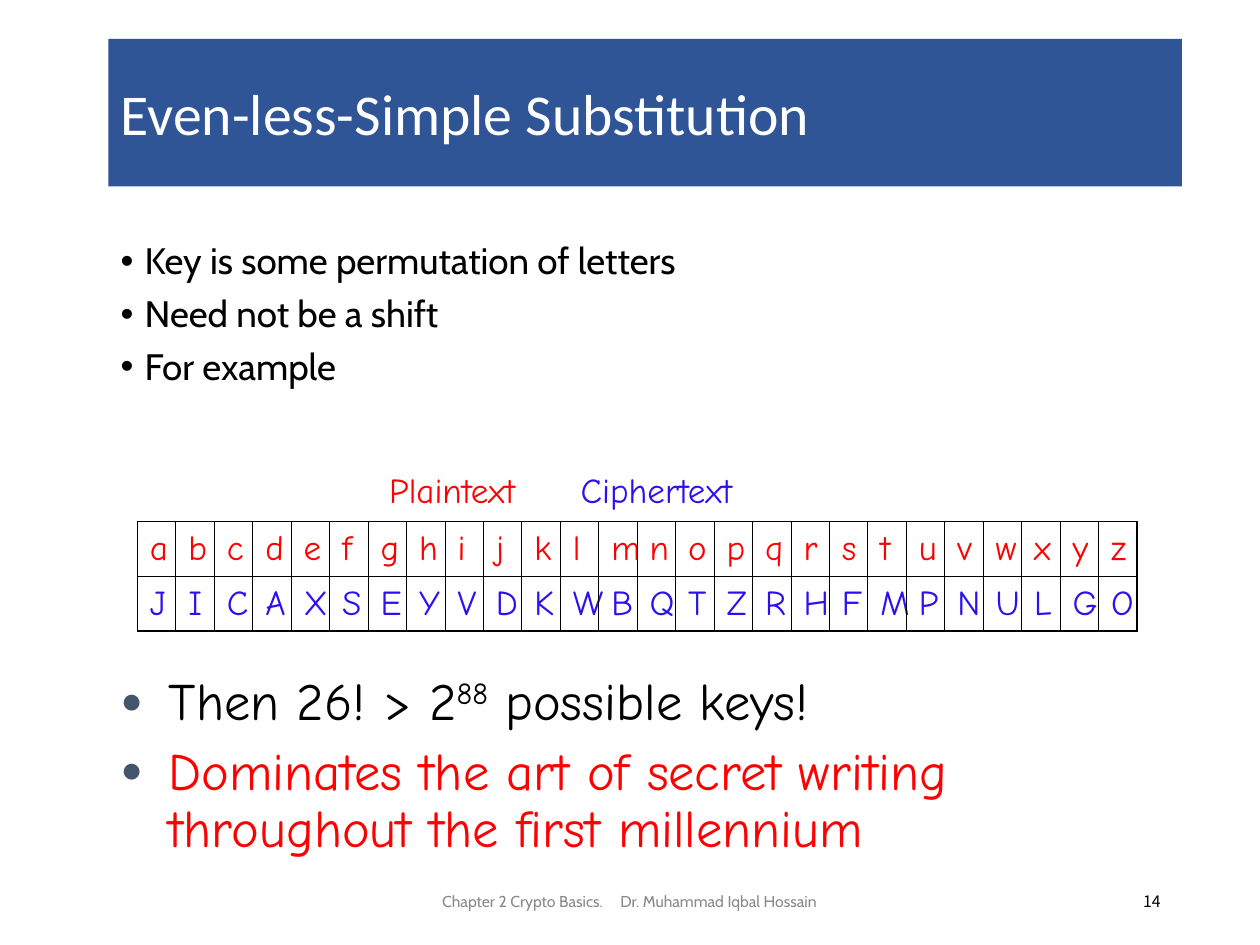
from pptx import Presentation
from pptx.dml.color import RGBColor
from pptx.enum.shapes import MSO_SHAPE
from pptx.enum.text import MSO_ANCHOR, PP_ALIGN
from pptx.oxml.ns import qn
from pptx.util import Inches, Pt
from lxml import etree

RECTANGLE = MSO_SHAPE.RECTANGLE
TOP, MIDDLE = MSO_ANCHOR.TOP, MSO_ANCHOR.MIDDLE
LEFT, CENTER, RIGHT = PP_ALIGN.LEFT, PP_ALIGN.CENTER, PP_ALIGN.RIGHT

BLACK, WHITE, RED, VIOLET = "000000", "FFFFFF", "FF0000", "2B10F0"
NAVY, SLATE, GRAY = "2F5597", "44546A", "898989"
HEADING, BODY, HAND, NUMBER = "Calibri", "Cabin", "Comic Neue", "Noto Sans CJK KR"

PLAIN_ROW = "abcdefghijklmnopqrstuvwxyz"
CIPHER_ROW = "JICAXSEYVDKWBQTZRHFMPNULGO"


def color(code):
    return RGBColor.from_string(code)


class SlideBuilder:
    thin, thick = 0.45, 1.08

    def __init__(self, slide):
        self.slide = slide

    def format_paragraph(self, para, size, font, shade, align=LEFT):
        para.alignment = align
        for span in para.runs:
            span.font.size = Pt(size)
            span.font.name = font
            span.font.color.rgb = color(shade)

    def add_box(self, left, top, width, height, anchor=TOP, wrap=True):
        box = self.slide.shapes.add_textbox(
            Inches(left), Inches(top), Inches(width), Inches(height))
        box.text_frame.word_wrap = wrap
        box.text_frame.vertical_anchor = anchor
        return box

    def add_title(self, text, left, top, width, height):
        banner = self.slide.shapes.add_shape(
            RECTANGLE, Inches(left), Inches(top), Inches(width), Inches(height))
        banner.shadow.inherit = False
        banner.fill.solid()
        banner.fill.fore_color.rgb = color(NAVY)
        banner.line.fill.background()
        banner.text_frame.text = text
        banner.text_frame.word_wrap = True
        banner.text_frame.vertical_anchor = MIDDLE
        self.format_paragraph(banner.text_frame.paragraphs[0], 33, HEADING, WHITE)

    def add_label(self, spans, place, size, font, shade, align=LEFT,
                  anchor=TOP, wrap=True):
        para = self.add_box(*place, anchor, wrap).text_frame.paragraphs[0]
        for text in spans:
            para.add_run().text = text
        self.format_paragraph(para, size, font, shade, align)
        return para

    def add_bullet(self, para, mark, shade, scale, indent):
        properties = para._p.get_or_add_pPr()
        properties.set("marL", str(Inches(indent)))
        properties.set("indent", str(-Inches(indent)))
        tint = etree.SubElement(properties, qn("a:buClr"))
        etree.SubElement(tint, qn("a:srgbClr"), val=shade)
        etree.SubElement(properties, qn("a:buSzPct"), val=str(scale * 1000))
        etree.SubElement(properties, qn("a:buFont"), typeface="Arial")
        etree.SubElement(properties, qn("a:buChar"), char=mark)

    def add_bullets(self, items, place, size, font, mark, mark_shade, scale, indent):
        frame = self.add_box(*place).text_frame
        for index, (spans, shade) in enumerate(items):
            para = frame.add_paragraph() if index else frame.paragraphs[0]
            para.line_spacing = 0.9
            para.space_before = Pt(7.5 if index else 0)
            self.add_bullet(para, mark, mark_shade, scale, indent)
            for text in spans:
                para.add_run().text = text
            self.format_paragraph(para, size, font, shade)
        return frame

    def add_border(self, cell, side, width):
        line = etree.SubElement(cell._tc.get_or_add_tcPr(), qn("a:" + side),
                                w=str(Pt(width)))
        fill = etree.SubElement(line, qn("a:solidFill"))
        etree.SubElement(fill, qn("a:srgbClr"), val=BLACK)

    def add_alphabet_table(self, rows, left, top, width, height):
        last_row, last_column = len(rows) - 1, len(rows[0][0]) - 1
        table = self.slide.shapes.add_table(
            last_row + 1, last_column + 1, Inches(left), Inches(top),
            Inches(width), Inches(height)).table
        table.first_row = table.horz_banding = False
        for row, (letters, shade) in enumerate(rows):
            for column, letter in enumerate(letters):
                cell = table.cell(row, column)
                cell.text_frame.text = letter
                cell.vertical_anchor = MIDDLE
                self.format_paragraph(cell.text_frame.paragraphs[0], 20, HAND, shade)
                outer_sides = {"lnL": column == 0, "lnR": column == last_column,
                               "lnT": row == 0, "lnB": row == last_row}
                for side, outer in outer_sides.items():
                    self.add_border(cell, side, self.thick if outer else self.thin)
                cell.fill.background()


def main():
    deck = Presentation()
    deck.slide_width, deck.slide_height = Inches(10), Inches(7.5)
    page = SlideBuilder(deck.slides.add_slide(deck.slide_layouts[6]))

    page.add_title("Even-less-Simple Substitution", 0.86, 0.31, 8.52, 1.17)
    facts = ["Key is some permutation of letters", "Need not be a shift", "For example"]
    page.add_bullets([([fact], BLACK) for fact in facts], (0.86, 1.88, 8.56, 1.8),
                     21, BODY, "•", BLACK, 100, 0.19)

    footer = page.add_label(
        ["Chapter 2 Crypto Basics.", " ", "Dr. Muhammad Iqbal Hossain"],
        (3.31, 6.95, 3.37, 0.4), 9, BODY, GRAY, CENTER, MIDDLE)
    footer.runs[1].font._element.set("spc", "800")
    page.add_label(["14"], (7.06, 6.95, 2.25, 0.4), 9, NUMBER, BLACK, RIGHT, MIDDLE)

    conclusions = [
        (["Then 26! > 2", "88", " possible keys!"], BLACK),
        (["Dominates the art of secret writing throughout the first millennium"], RED),
    ]
    frame = page.add_bullets(conclusions, (0.86, 5.31, 8.31, 1.48),
                             30, HAND, "●", SLATE, 70, 0.38)
    frame.paragraphs[0].runs[1].font._element.set("baseline", "30000")

    page.add_alphabet_table([(PLAIN_ROW, RED), (CIPHER_ROW, VIOLET)],
                            1.09, 4.14, 7.94, 0.87)
    page.add_label(["Plaintext"], (2.99, 3.67, 1.21, 0.44), 20, HAND, RED, wrap=False)
    page.add_label(["Ciphertext"], (4.51, 3.67, 1.41, 0.44), 20, HAND, VIOLET, wrap=False)

    deck.save("out.pptx")


if __name__ == "__main__":
    main()
